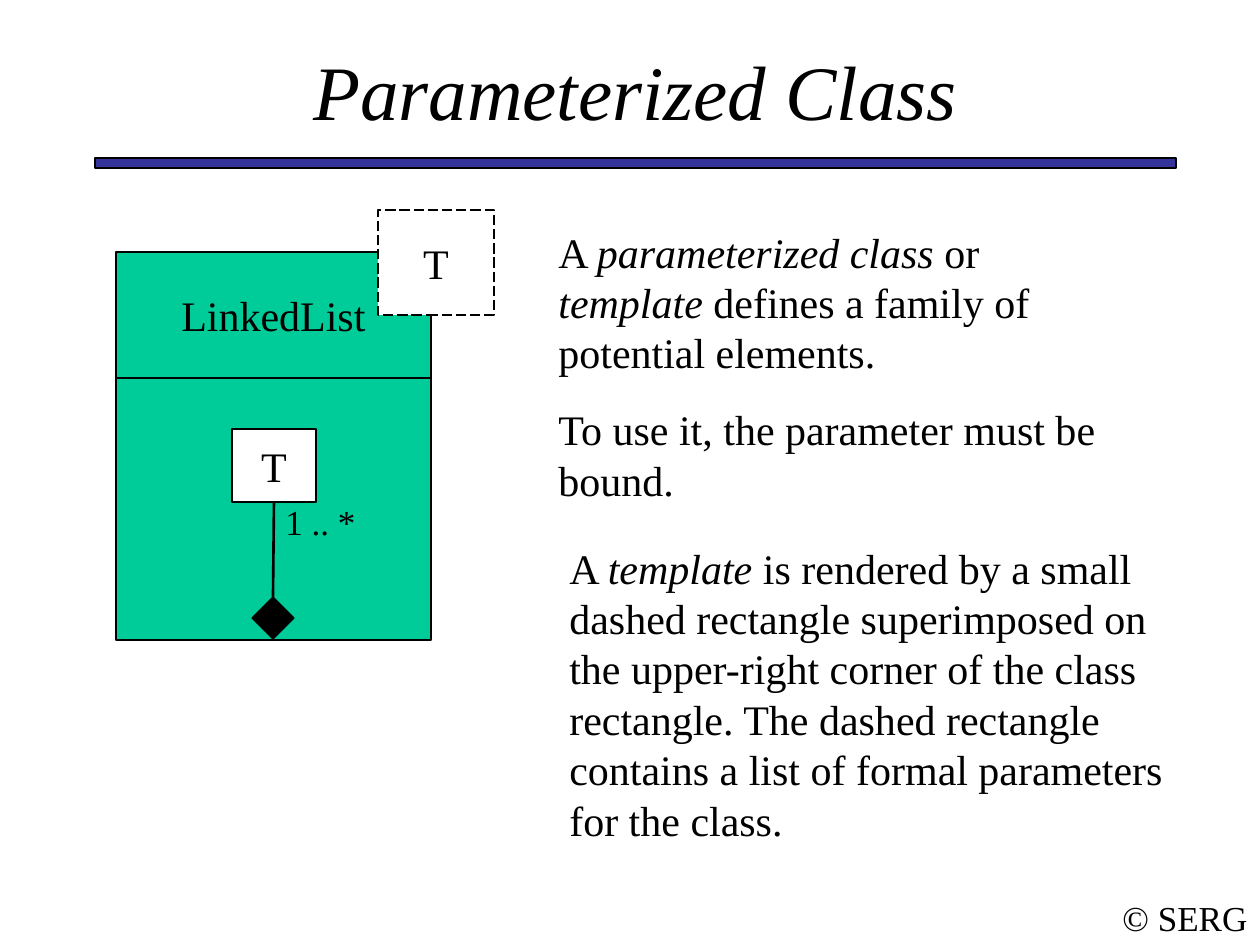
from lxml import etree
from pptx import Presentation
from pptx import util as u
from pptx.dml.color import RGBColor
from pptx.enum import dml, shapes, text
from pptx.oxml.ns import qn

PX = 914400 // 126
FONT = "Times New Roman"
BLACK, WHITE, GREEN, BLUE = "000000", "FFFFFF", "00CC99", "333399"
TOP, BOTTOM = 0, 2
MIDDLE = text.MSO_ANCHOR.MIDDLE
CENTER = text.PP_ALIGN.CENTER


def px(*lengths):
    return [u.Emu(length * PX) for length in lengths]


def color(value):
    return RGBColor.from_string(value)


def write(frame, paragraphs, size=24, align=None, before=0, italic=False):
    """Fill a text frame; in each paragraph every second run is a term in italics."""
    for index, runs in enumerate(paragraphs):
        paragraph = frame.add_paragraph() if index else frame.paragraphs[0]
        paragraph.alignment = align
        paragraph.space_before = u.Pt(before)
        for position, content in enumerate(runs):
            run = paragraph.add_run()
            run.text = content
            run.font.name = FONT
            run.font.size = u.Pt(size)
            run.font.italic = italic or position % 2 == 1
            run.font.color.rgb = color(BLACK)


def add_text(slide, box, paragraphs, anchor=text.MSO_ANCHOR.TOP, wrap=True, **style):
    frame = slide.shapes.add_textbox(*px(*box)).text_frame
    frame.word_wrap = wrap
    frame.vertical_anchor = anchor
    write(frame, paragraphs, **style)


def add_block(slide, box, fill, label=None, kind=shapes.MSO_SHAPE.RECTANGLE, dashed=False):
    shape = slide.shapes.add_shape(kind, *px(*box))
    shape.shadow.inherit = False
    shape.fill.solid()
    shape.fill.fore_color.rgb = color(fill)
    shape.line.color.rgb = color(BLACK)
    shape.line.width = u.Pt(0.75)
    if dashed:
        shape.line.dash_style = dml.MSO_LINE.LONG_DASH
    if label:
        shape.text_frame.word_wrap = False
        shape.text_frame.vertical_anchor = MIDDLE
        write(shape.text_frame, [[label]], align=CENTER)
    return shape


def join(slide, upper, lower):
    """Draw a line from the bottom of one shape to the top of another."""
    line = slide.shapes.add_connector(shapes.MSO_CONNECTOR.STRAIGHT, 0, 0, 0, 0)
    line.begin_connect(upper, BOTTOM)
    line.end_connect(lower, TOP)
    line.line.color.rgb = color(BLACK)
    line.line.width = u.Pt(1.5)
    etree.SubElement(line._element.spPr, qn("a:effectLst"))


def add_class_diagram(slide):
    add_block(slide, (116, 252, 315, 126), GREEN, "LinkedList")
    add_block(slide, (378, 210, 116, 105), WHITE, "T", dashed=True)
    add_block(slide, (116, 378, 315, 262), GREEN)
    element = add_block(slide, (232, 429, 84, 73), WHITE, "T")
    diamond = add_block(slide, (252, 597, 42, 42), BLACK, kind=shapes.MSO_SHAPE.DIAMOND)
    join(slide, element, diamond)
    add_text(slide, (273, 494, 116, 55), [["1 .. *"]], size=20, before=12.5)


def add_explanation(slide):
    add_text(slide, (546, 220, 588, 291), [
        ["A ", "parameterized class", " or ", "template",
         " defines a family of potential elements."],
        ["To use it, the parameter must be bound."],
    ], before=15)
    add_text(slide, (557, 536, 620, 315), [
        ["A ", "template ",
         "is rendered by a small dashed rectangle superimposed on the "
         "upper-right corner of the class rectangle. The dashed rectangle "
         "contains a list of formal parameters for the class."],
    ], before=15)


def main():
    presentation = Presentation()
    presentation.slide_width, presentation.slide_height = u.Inches(10), u.Inches(7.5)
    slide = presentation.slides.add_slide(presentation.slide_layouts[6])
    add_text(slide, (1110, 890, 150, 55), [["© SERG"]], anchor=MIDDLE, wrap=False,
             size=20, align=CENTER)
    add_block(slide, (95, 158, 1081, 10), BLUE)
    add_text(slide, (95, 53, 1081, 73), [["Parameterized Class"]], anchor=MIDDLE,
             size=44, align=CENTER, italic=True)
    add_class_diagram(slide)
    add_explanation(slide)
    presentation.save("out.pptx")


if __name__ == "__main__":
    main()
